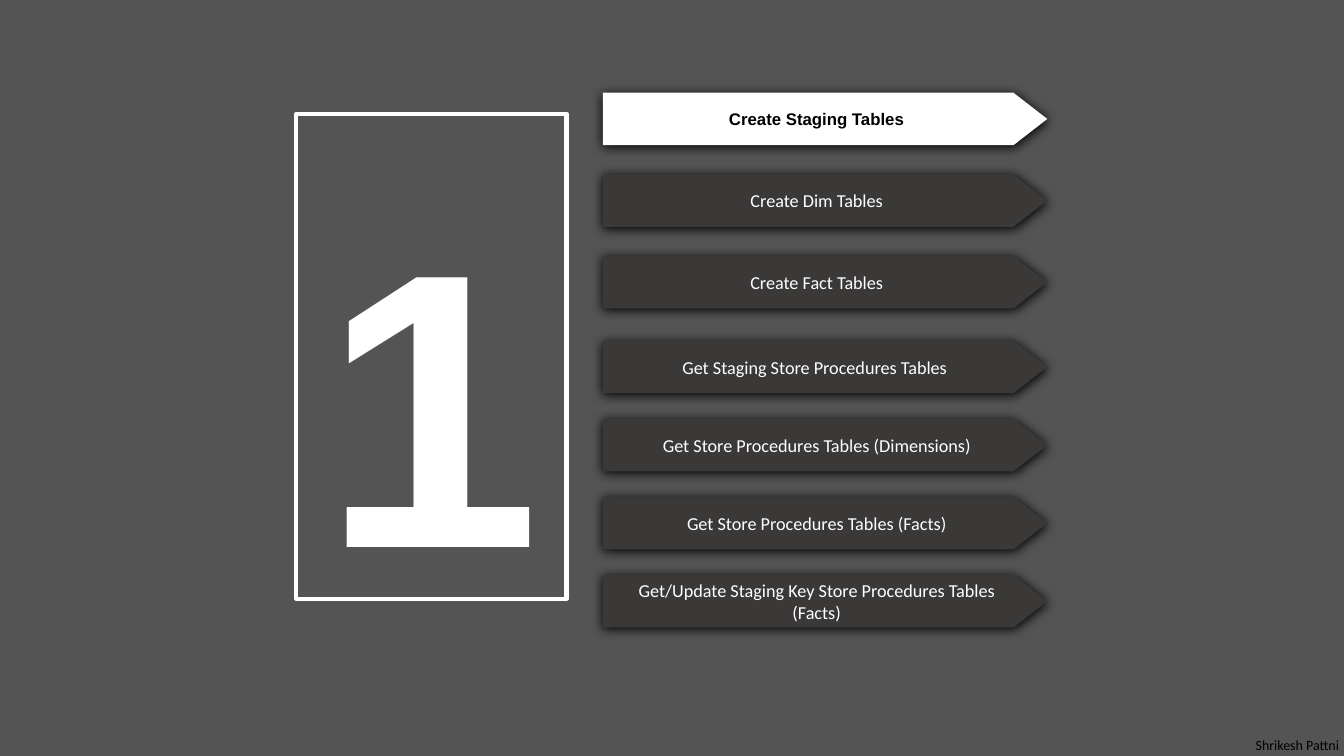
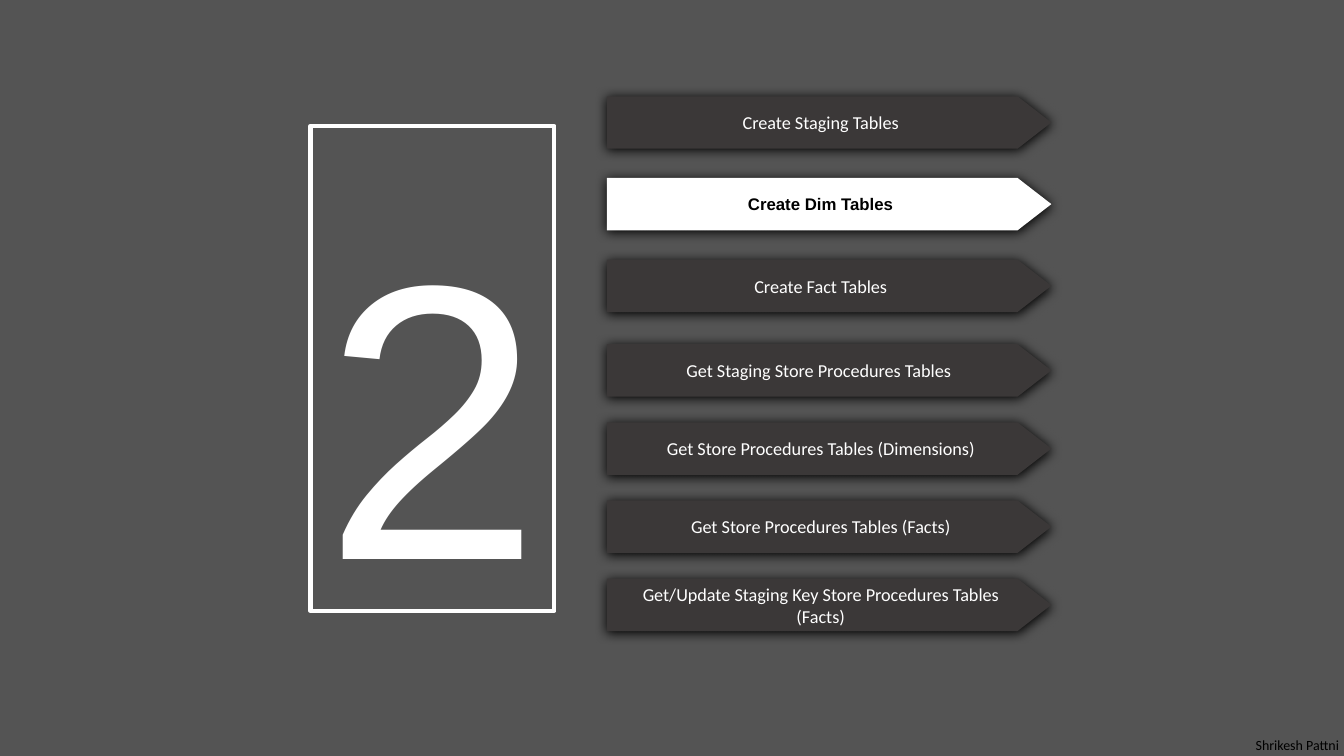
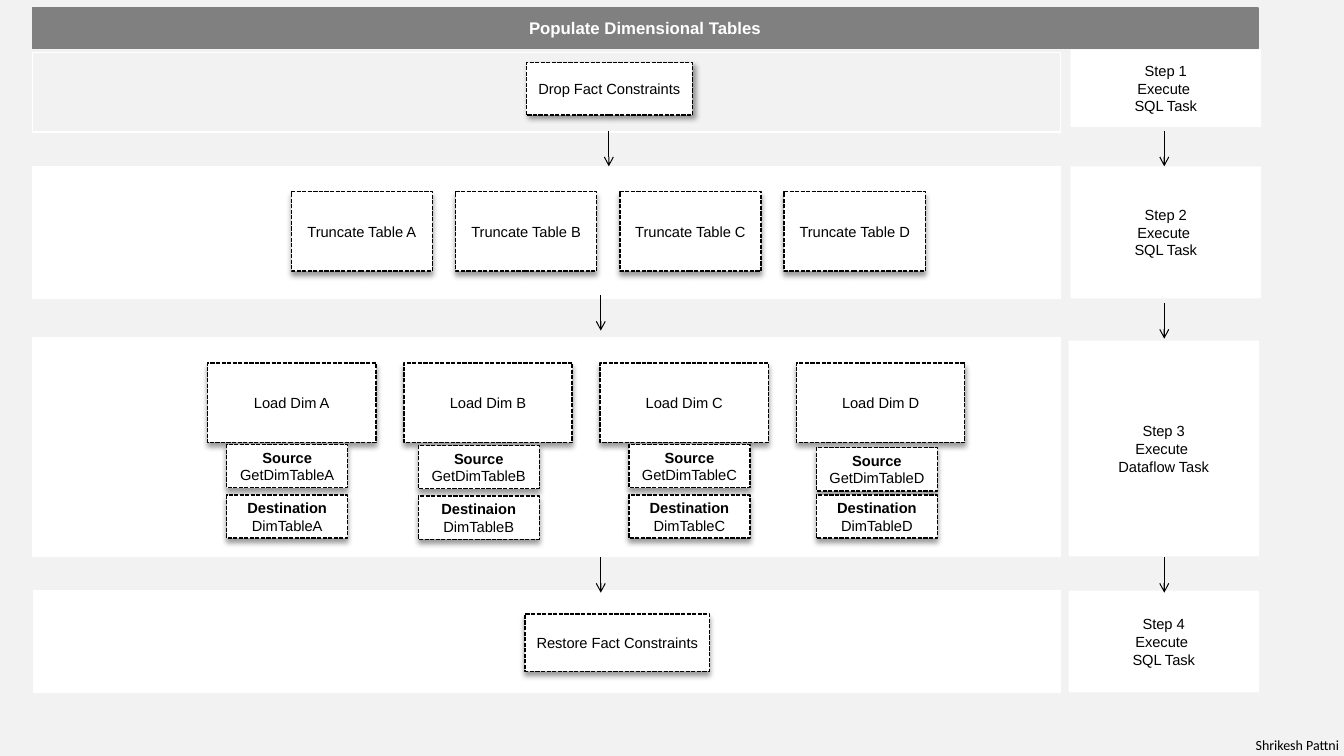
from collections import namedtuple

from pptx import Presentation
from pptx.dml.color import RGBColor
from pptx.enum.dml import MSO_LINE
from pptx.enum.shapes import MSO_CONNECTOR, MSO_SHAPE
from pptx.enum.text import MSO_ANCHOR, PP_ALIGN
from pptx.oxml.ns import qn
from pptx.util import Inches, Pt
from lxml.etree import SubElement

COLORS = {
    "dark": "545454",
    "light": "F2F2F2",
    "plate": "3B3838",
    "header": "808080",
    "white": "FFFFFF",
    "black": "000000",
}
CELL = Inches(0.1)  # one column or row of the grid
COLUMNS, ROWS = 133.33, 75

Style = namedtuple("Style", "font size color bold")
Shadow = namedtuple("Shadow", "alpha blur distance angle")

PLATE_TEXT = Style("Calibri", 13, "white", False)
ACTIVE_TEXT = Style("Arial", 12, "black", True)
HEADER_TEXT = Style("Arial", 12, "white", True)
TASK_TEXT = Style("Arial", 10.5, "black", False)
FOOTER_TEXT = Style("Calibri", 10, "black", False)

PLATE_SHADOW = Shadow(100, 8.5, 1, 90)
TASK_SHADOW = Shadow(40, 4, 3, 90)
DIAGONAL_SHADOW = Shadow(40, 4, 3, 45)

STAGES = [
    "Create Staging Tables",
    "Create Dim Tables",
    "Create Fact Tables",
    "Get Staging Store Procedures Tables ",
    "Get Store Procedures Tables (Dimensions)",
    "Get Store Procedures Tables (Facts)",
    "Get/Update Staging Key Store Procedures Tables (Facts)",
]
STAGE_TOPS = [9.2 + 8.1 * i for i in range(3)] + [33.8 + 7.75 * i for i in range(4)]

# left, top, width, height of the white bands and the step boxes beside them
BANDS = [(3.2, 16.5, 102, 13.1), (3.2, 33.5, 102, 21.7), (3.3, 58.6, 101.9, 10.1)]
STEPS = [
    ("SQL Task", (106.2, 4.9, 18.9, 7.7)),
    ("SQL Task", (106.2, 16.5, 18.9, 13.1)),
    ("Dataflow Task", (106, 33.8, 18.9, 21.4)),
    ("SQL Task", (106, 58.6, 18.9, 10.1)),
]
# table letter, left, source top, destination top, destination label
DATAFLOWS = [
    ("A", 22.5, 44.1, 49.1, "Destination "),
    ("B", 41.5, 44.2, 49.2, "Destinaion "),
    ("C", 62.4, 44.1, 49.1, "Destination "),
    ("D", 81, 44.4, 49.1, "Destination "),
]
FLOW_ARROWS = [(60.4, 13), (59.6, 29.3), (59.6, 55.3),
               (115.5, 13), (115.5, 30.1), (115.5, 55.3)]


def grid(*cells):
    """Turn counts of grid cells into lengths."""
    return [round(cell * CELL) for cell in cells]


def rgb(name):
    """Look up a named colour."""
    return RGBColor.from_string(COLORS[name])


def format_run(run, style, bold):
    """Apply a text style to one run."""
    run.font.name = style.font
    run.font.size = Pt(style.size)
    run.font.color.rgb = rgb(style.color)
    run.font.bold = bold


def write(shape, text, style, lead="", align=PP_ALIGN.CENTER):
    """Fill a shape with styled lines, optionally after a bold lead."""
    frame = shape.text_frame
    frame.word_wrap = True
    frame.text = lead or text
    for paragraph in frame.paragraphs:
        paragraph.alignment = align
        for run in paragraph.runs:
            format_run(run, style, style.bold or bool(lead))
    if lead:
        run = frame.paragraphs[0].add_run()
        run.text = text
        format_run(run, style, style.bold)


def cast_shadow(shape, shadow):
    """Give a shape an outer shadow."""
    effects = shape._element.spPr.find(qn("a:effectLst"))
    outer = SubElement(effects, qn("a:outerShdw"), {
        "blurRad": str(Pt(shadow.blur)),
        "dist": str(Pt(shadow.distance)),
        "dir": str(shadow.angle * 60000),
        "algn": "ctr",
        "rotWithShape": "0",
    })
    color = SubElement(outer, qn("a:srgbClr"), val=COLORS["black"])
    SubElement(color, qn("a:alpha"), val=str(shadow.alpha * 1000))


def add_box(slide, cells, fill=None, line=None, width=1, shadow=None,
            kind=MSO_SHAPE.RECTANGLE):
    """Add a shape with the given fill, outline and shadow."""
    shape = slide.shapes.add_shape(kind, *grid(*cells))
    shape.shadow.inherit = False
    if fill:
        shape.fill.solid()
        shape.fill.fore_color.rgb = rgb(fill)
    else:
        shape.fill.background()
    if line:
        shape.line.color.rgb = rgb(line)
        shape.line.width = Pt(width)
    else:
        shape.line.fill.background()
    if shadow:
        cast_shadow(shape, shadow)
    shape.text_frame.vertical_anchor = MSO_ANCHOR.MIDDLE
    return shape


def add_task(slide, cells, text, lead="", shadow=TASK_SHADOW):
    """Add a dashed task box."""
    task = add_box(slide, cells, "white", "black", shadow=shadow)
    task.line.dash_style = MSO_LINE.SQUARE_DOT
    write(task, text, TASK_TEXT, lead)


def add_flow_arrow(slide, x, top):
    """Add a short arrow pointing down."""
    start_x, start_y, end_y = grid(x, top, top + 3.5)
    arrow = slide.shapes.add_connector(
        MSO_CONNECTOR.STRAIGHT, start_x, start_y, start_x, end_y)
    arrow.line.color.rgb = rgb("black")
    arrow.line.width = Pt(0.75)
    SubElement(arrow.line._get_or_add_ln(), qn("a:tailEnd"), type="arrow")
    SubElement(arrow._element.spPr, qn("a:effectLst"))


def add_slide(presentation, background):
    """Add a blank slide with its background and author footer."""
    slide = presentation.slides.add_slide(presentation.slide_layouts[6])
    slide.background.fill.solid()
    slide.background.fill.fore_color.rgb = rgb(background)
    footer = slide.shapes.add_textbox(*grid(120.2, 72.6, COLUMNS - 120.2, 2.4))
    footer.text_frame.margin_right = Inches(0.05)
    write(footer, "Shrikesh Pattni", FOOTER_TEXT, align=PP_ALIGN.RIGHT)
    return slide


def build_stage_slide(presentation, number, frame_cells, bold, shift=(0, 0)):
    """Show the list of stages with one stage highlighted."""
    slide = add_slide(presentation, "dark")
    frame = add_box(slide, frame_cells, line="white", width=3)
    frame.text_frame.vertical_anchor = MSO_ANCHOR.TOP
    frame.text_frame.margin_top = Inches(0.41)
    frame.text_frame.margin_bottom = 0
    write(frame, str(number), Style("Arial", 280, "white", bold))
    for position, (stage, top) in enumerate(zip(STAGES, STAGE_TOPS), start=1):
        active = position == number
        plate = add_box(slide, (59.8 + shift[0], top + shift[1], 44.1, 5.2),
                        "white" if active else "plate",
                        shadow=PLATE_SHADOW, kind=MSO_SHAPE.PENTAGON)
        plate.adjustments[0] = 0.645
        write(plate, stage, ACTIVE_TEXT if active else PLATE_TEXT)


def build_flow_slide(presentation):
    """Show the four steps that populate the dimensional tables."""
    slide = add_slide(presentation, "light")
    header = add_box(slide, (3.2, 0.8, 121.6, 4), "header", "header")
    write(header, "Populate Dimensional Tables", HEADER_TEXT)
    add_box(slide, (3.2, 5.2, 102, 7.9), "light", "white")
    for cells in BANDS:
        add_box(slide, cells, "white", "white")
    for number, (task, cells) in enumerate(STEPS, start=1):
        step = add_box(slide, cells, "white")
        write(step, f"Step {number}\nExecute \n{task}", TASK_TEXT)

    add_task(slide, (52.2, 6.2, 16.5, 5.2), "Drop Fact Constraints",
             shadow=DIAGONAL_SHADOW)
    for column, (letter, left, source, destination, label) in enumerate(DATAFLOWS):
        add_task(slide, (28.9 + 16.3 * column, 19, 14, 7.9),
                 f"Truncate Table {letter}")
        add_task(slide, (20.6 + 19.47 * column, 36, 16.7, 7.9),
                 f"Load Dim {letter}")
        add_task(slide, (left, source, 12, 4.3), f"GetDimTable{letter}", "Source ")
        add_task(slide, (left, destination, 12, 4.3), f"DimTable{letter}", label)
    add_task(slide, (52.1, 60.9, 18.3, 5.7), "Restore Fact Constraints")

    for x, top in FLOW_ARROWS:
        add_flow_arrow(slide, x, top)


def main():
    """Build and save the presentation."""
    presentation = Presentation()
    presentation.slide_width, presentation.slide_height = grid(COLUMNS, ROWS)
    build_stage_slide(presentation, 1, (29.4, 11.3, 26.8, 48.1), bold=True)
    build_stage_slide(presentation, 2, (30.8, 12.5, 24.2, 48.1), bold=False,
                      shift=(0.4, 0.35))
    build_flow_slide(presentation)
    presentation.save("out.pptx")


main()
